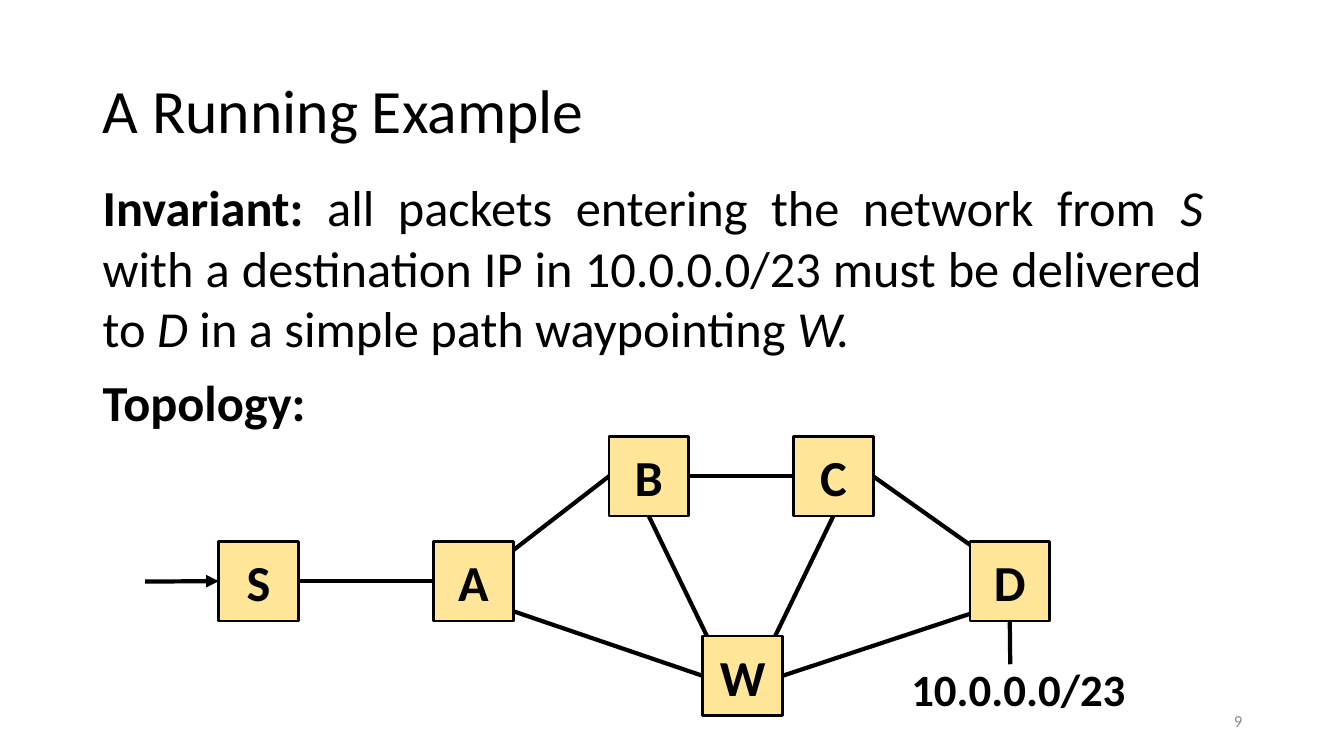
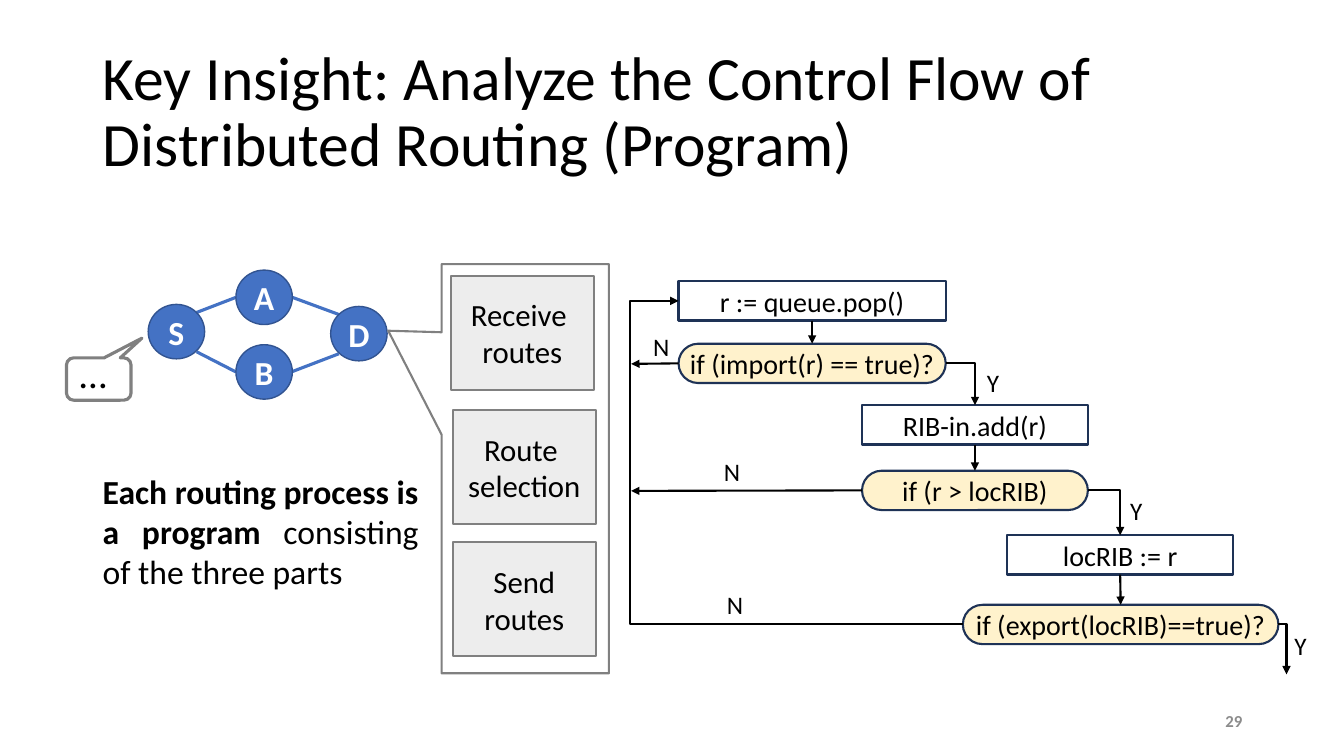
from lxml.etree import SubElement
from pptx import Presentation
from pptx.dml.color import RGBColor
from pptx.enum.shapes import MSO_CONNECTOR, MSO_SHAPE
from pptx.enum.text import MSO_ANCHOR, PP_ALIGN
from pptx.oxml.ns import qn
from pptx.util import Inches, Pt

FONT = "Calibri"
BLACK, WHITE, GRAY, PAGE_GRAY = "000000", "FFFFFF", "808080", "8C8C8C"
AMBER, CREAM, SILVER = "FFE699", "FFF2CC", "EDEDED"
BLUE, BLUE_EDGE, NAVY = "4472C4", "325491", "1E3256"
TOP, LEFT, BOTTOM, RIGHT = range(4)


def rgb(value):
    return RGBColor.from_string(value)


def write(tf, text, size=18, color=BLACK, bold=False, align=PP_ALIGN.LEFT,
          anchor=MSO_ANCHOR.TOP, wrap=True, inset=None, spacing=None):
    tf.word_wrap = wrap
    tf.vertical_anchor = anchor
    if inset is not None:
        tf.margin_left = tf.margin_right = Inches(inset)
        tf.margin_top = tf.margin_bottom = Inches(inset)
    runs = [(text, "b" if bold else "")] if isinstance(text, str) else text
    p = tf.paragraphs[0]
    for content, style in runs:
        for i, line in enumerate(content.split("\n")):
            if i:
                p = tf.add_paragraph()
            p.alignment = align
            p.line_spacing = spacing
            r = p.add_run()
            r.text = line
            r.font.name = FONT
            r.font.size = Pt(size)
            r.font.color.rgb = rgb(color)
            r.font.bold = "b" in style
            r.font.italic = "i" in style


def add_text(s, box, text, **fmt):
    write(s.shapes.add_textbox(*map(Inches, box)).text_frame, text, **fmt)


def add_box(s, kind, box, fill, line, width, text="", adj=(), **fmt):
    sp = s.shapes.add_shape(kind, *map(Inches, box))
    sp.shadow.inherit = False
    for i, value in enumerate(adj):
        sp.adjustments[i] = value
    if fill:
        sp.fill.solid()
        sp.fill.fore_color.rgb = rgb(fill)
    else:
        sp.fill.background()
    sp.line.color.rgb = rgb(line)
    sp.line.width = Pt(width)
    if text:
        write(sp.text_frame, text, align=PP_ALIGN.CENTER,
              anchor=MSO_ANCHOR.MIDDLE, **fmt)
    return sp


def is_point(end):
    return isinstance(end[0], (int, float))


def link(s, start, end, color=BLACK, width=1.5, arrow=False, bend=None,
         adj=None, behind=False):
    kind = MSO_CONNECTOR.ELBOW if bend else MSO_CONNECTOR.STRAIGHT
    points = [e if is_point(e) else (0, 0) for e in (start, end)]
    c = s.shapes.add_connector(kind, *(Inches(v) for pt in points for v in pt))
    if not is_point(start):
        c.begin_connect(*start)
    if not is_point(end):
        c.end_connect(*end)
    c.line.color.rgb = rgb(color)
    c.line.width = Pt(width)
    if arrow:
        SubElement(c.line._get_or_add_ln(), qn("a:tailEnd"), type="triangle")
    sp_pr = c.element.spPr
    SubElement(sp_pr, qn("a:effectLst"))
    if bend:
        geom = sp_pr.find(qn("a:prstGeom"))
        geom.set("prst", bend)
        if adj:
            guides = geom.find(qn("a:avLst"))
            SubElement(guides, qn("a:gd"), name="adj1",
                       fmla=f"val {round(adj * 100000)}")
    if behind:
        c.element.getparent().insert(2, c.element)


def new_slide(prs, title, number, bold_number=False):
    s = prs.slides.add_slide(prs.slide_layouts[6])
    add_text(s, (0.92, 0.4, 11.5, 1.45), title, size=44, spacing=0.9,
             anchor=MSO_ANCHOR.MIDDLE)
    add_text(s, (9.42, 6.95, 3, 0.4), str(number), size=12, color=PAGE_GRAY,
             bold=bold_number, align=PP_ALIGN.RIGHT, anchor=MSO_ANCHOR.MIDDLE)
    return s


def topology(s, x, y):
    def at(dx, dy):
        return x + dx, y + dy

    side = 0.79
    places = {"S": (0.73, 1.04), "A": (2.86, 1.04), "B": (4.6, 0),
              "C": (6.43, 0), "D": (8.18, 1.04), "W": (5.53, 1.98)}
    n = {name: add_box(s, MSO_SHAPE.RECTANGLE, (*at(*place), side, side),
                       AMBER, BLACK, 2, name, size=36, bold=True)
         for name, place in places.items()}
    links = [
        ((n["S"], RIGHT), (n["A"], LEFT)),
        (at(3.61, 1.16), (n["B"], LEFT)),
        ((n["B"], RIGHT), (n["C"], LEFT)),
        (at(3.61, 1.72), (n["W"], LEFT)),
        ((n["W"], RIGHT), at(8.3, 1.72)),
        ((n["C"], RIGHT), at(8.3, 1.16)),
        (at(5.63, 2.1), (n["B"], BOTTOM)),
        (at(6.19, 2.1), (n["C"], BOTTOM)),
        ((n["D"], BOTTOM), at(8.58, 2.26)),
    ]
    for start, end in links:
        link(s, start, end, width=3, behind=True)
    link(s, at(0, 1.44), (n["S"], LEFT), width=3, arrow=True)
    add_text(s, (*at(7.5, 2.19), 2.35, 0.64), "10.0.0.0/23", size=32,
             bold=True, wrap=False)


def router_network(s, x, y):
    def at(dx, dy):
        return x + dx, y + dy

    add_box(s, MSO_SHAPE.ROUNDED_RECTANGULAR_CALLOUT, (*at(0, 0.87), 0.64, 0.42),
            WHITE, GRAY, 2.25, adj=(0.669, -0.965, 0.167))
    add_text(s, (*at(0.03, 0.74), 0.45, 0.57), "…", size=28,
             align=PP_ALIGN.CENTER)
    for start, end in [((1.29, 0.42), (1.68, 0.27)), ((2.24, 0.27), (2.7, 0.44)),
                       ((1.29, 0.81), (1.68, 1.01)), ((2.23, 1.01), (2.7, 0.83))]:
        link(s, at(*start), at(*end), color=BLUE, width=2.25)
    for name, place in {"S": (0.81, 0.34), "A": (1.68, 0), "B": (1.68, 0.74),
                        "D": (2.62, 0.36)}.items():
        add_box(s, MSO_SHAPE.OVAL, (*at(*place), 0.56, 0.54), BLUE, BLUE_EDGE, 1,
                name, size=24, color=WHITE, bold=True, inset=0)


def process_parts(s, x, y):
    add_box(s, MSO_SHAPE.RECTANGULAR_CALLOUT, (x, y, 1.66, 4.06), None, GRAY, 1.5,
            adj=(-0.819, -0.337))
    for dx, dy, text in [(0.09, 0.12, "Receive \nroutes"),
                         (0.11, 1.45, "Route \nselection"),
                         (0.11, 2.76, "Send routes")]:
        add_box(s, MSO_SHAPE.RECTANGLE, (x + dx, y + dy, 1.42, 1.13), SILVER,
                GRAY, 1.5, text, size=22, inset=0)


def control_flow(s, x, y):
    def at(dx, dy):
        return x + dx, y + dy

    def step(dx, dy, w, text, test=False):
        kind = MSO_SHAPE.ROUNDED_RECTANGLE if test else MSO_SHAPE.RECTANGLE
        return add_box(s, kind, (*at(dx, dy), w, 0.39), CREAM if test else WHITE,
                       NAVY, 1.5, text, adj=(0.5,) if test else (), size=20,
                       inset=0)

    pop = step(0.47, 0, 2.65, "r := queue.pop()")
    can_import = step(0.47, 0.62, 2.65, "if (import(r) == true)?", True)
    add_rib = step(2.29, 1.23, 2.24, "RIB-in.add(r)")
    is_better = step(2.29, 1.88, 2.24, "if (r > locRIB)", True)
    assign = step(3.73, 2.52, 2.24, "locRIB := r")
    can_export = step(3.29, 3.21, 3.13, "if (export(locRIB)==true)?", True)

    for above, below in [(pop, can_import), (add_rib, is_better),
                         (assign, can_export)]:
        link(s, (above, BOTTOM), (below, TOP), arrow=True)
    for test, target in [(can_import, (add_rib, TOP)), (is_better, (assign, TOP)),
                         (can_export, at(6.5, 3.9))]:
        link(s, (test, RIGHT), target, arrow=True, bend="bentConnector2")
    for test, dy in [(can_import, 0.82), (is_better, 2.08)]:
        link(s, (test, LEFT), at(0, dy), arrow=True)
    link(s, (can_export, LEFT), (pop, LEFT), arrow=True, bend="bentConnector3",
         adj=1.17)

    for dx, dy, answer in [(3.43, 0.8, "Y"), (4.85, 2.07, "Y"), (6.48, 3.41, "Y"),
                           (0.12, 0.45, "N"), (0.82, 1.69, "N"), (0.85, 3.01, "N")]:
        add_text(s, (*at(dx, dy), 0.58, 0.39), answer)


def example_slide(prs):
    s = new_slide(prs, "A Running Example", 9)
    invariant = [("Invariant: ", "b"),
                 ("all packets entering the network from ", ""), ("S ", "i"),
                 ("with a destination IP in 10.0.0.0/23 must be delivered to ", ""),
                 ("D ", "i"), ("in a simple path waypointing ", ""), ("W.", "i")]
    add_text(s, (0.92, 1.7, 11.11, 1.92), invariant, size=36,
             align=PP_ALIGN.JUSTIFY)
    add_text(s, (0.92, 3.63, 2.24, 0.71), "Topology:", size=36, bold=True,
             wrap=False)
    topology(s, 1.44, 4.33)


def insight_slide(prs):
    s = new_slide(prs, "Key Insight: Analyze the Control Flow of "
                  "Distributed Routing (Program)", 29, bold_number=True)
    router_network(s, 0.66, 2.68)
    process_parts(s, 4.38, 2.62)
    add_text(s, (0.92, 4.62, 3.33, 1.31),
             [("Each routing process is a program ", "b"),
              ("consisting of the three parts", "")],
             size=24, align=PP_ALIGN.JUSTIFY)
    control_flow(s, 6.26, 2.79)


def main():
    prs = Presentation()
    prs.slide_width, prs.slide_height = Inches(13.33), Inches(7.5)
    example_slide(prs)
    insight_slide(prs)
    prs.save("out.pptx")


if __name__ == "__main__":
    main()
